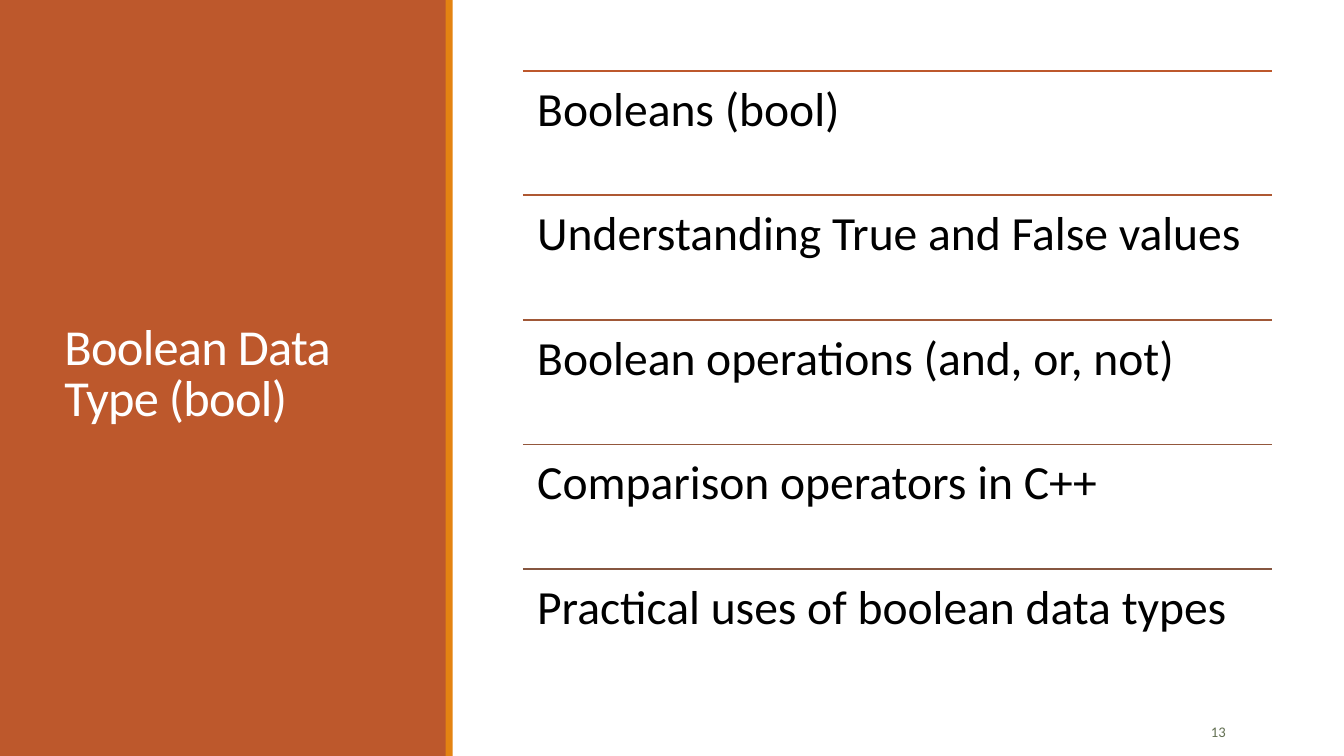
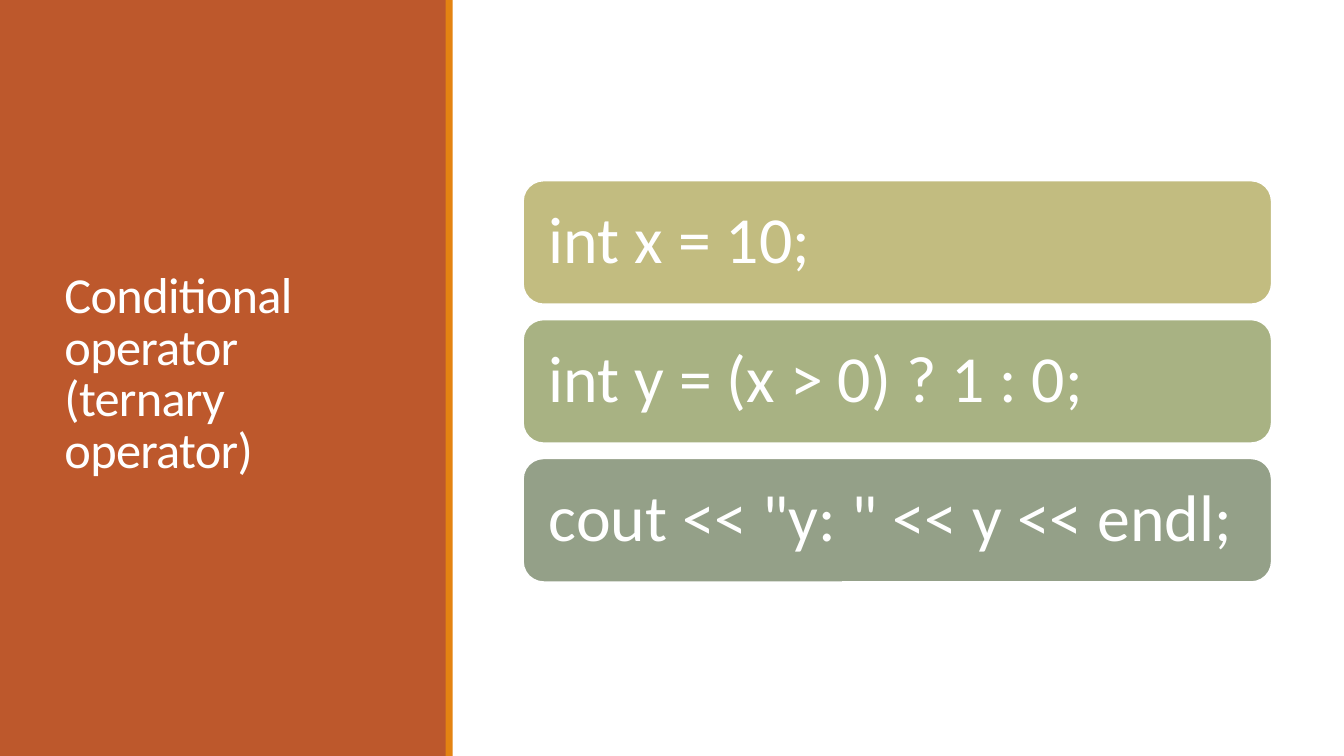
from lxml.etree import SubElement
from pptx import Presentation
from pptx.dml.color import RGBColor
from pptx.enum.shapes import MSO_CONNECTOR, MSO_SHAPE
from pptx.enum.text import MSO_ANCHOR, MSO_AUTO_SIZE, PP_ALIGN
from pptx.oxml.ns import qn
from pptx.util import Cm, Pt

TOPICS_TITLE = "Boolean Data Type (bool)"
TOPICS = [
    ("Booleans (bool)", RGBColor(0xBD, 0x58, 0x2C)),
    ("Understanding True and False values", RGBColor(0xAE, 0x58, 0x32)),
    ("Boolean operations (and, or, not)", RGBColor(0xA0, 0x58, 0x37)),
    ("Comparison operators in C++", RGBColor(0x93, 0x57, 0x3C)),
    ("Practical uses of boolean data types", RGBColor(0x86, 0x56, 0x40)),
]
PAGE_NUMBER = "13"

CODE_TITLE = "Conditional operator (ternary operator)"
CODE = [
    ("int x = 10;", RGBColor(0xC2, 0xBC, 0x80)),
    ("int y = (x > 0) ? 1 : 0;", RGBColor(0xA8, 0xB2, 0x83)),
    ('cout << "y: " << y << endl;', RGBColor(0x94, 0xA0, 0x88)),
]

FONT = "Calibri"
WHITE = RGBColor(0xFF, 0xFF, 0xFF)
BLACK = RGBColor(0, 0, 0)
RUST = RGBColor(0xBD, 0x58, 0x2C)
ORANGE = RGBColor(0xE4, 0x83, 0x12)
OLIVE = RGBColor(0x63, 0x70, 0x52)

SLIDE_W, SLIDE_H = Cm(33.87), Cm(19.05)
CONTENT_X, CONTENT_W = Cm(13.18), Cm(18.87)
TOPIC_Y, TOPIC_H = Cm(1.78), Cm(3.14)
CODE_Y, CODE_H, CODE_GAP = Cm(4.55), Cm(3.12), Cm(0.38)


def write(shape, text, size, color, anchor, spacing=1.0, align=PP_ALIGN.LEFT, inset=None):
    tf = shape.text_frame
    tf.word_wrap = True
    tf.auto_size = MSO_AUTO_SIZE.NONE
    tf.vertical_anchor = anchor
    if inset is not None:
        tf.margin_left = tf.margin_right = tf.margin_top = tf.margin_bottom = inset
    p = tf.paragraphs[0]
    p.alignment = align
    p.line_spacing = spacing
    r = p.add_run()
    r.text = text
    r.font.name = FONT
    r.font.size = Pt(size)
    r.font.color.rgb = color
    return r


def add_block(slide, kind, x, y, w, h, fill):
    sp = slide.shapes.add_shape(kind, x, y, w, h)
    sp.shadow.inherit = False
    sp.fill.solid()
    sp.fill.fore_color.rgb = fill
    sp.line.fill.background()
    return sp


def add_rule(slide, y, color):
    line = slide.shapes.add_connector(
        MSO_CONNECTOR.STRAIGHT, CONTENT_X, y, CONTENT_X + CONTENT_W, y)
    line.line.color.rgb = color
    line.line.width = Pt(1.25)
    SubElement(line._element.spPr, qn("a:effectLst"))


def add_panel_slide(prs, text):
    slide = prs.slides.add_slide(prs.slide_layouts[5])
    add_block(slide, MSO_SHAPE.RECTANGLE, 0, 0, Cm(11.25), SLIDE_H, RUST)
    add_block(slide, MSO_SHAPE.RECTANGLE, Cm(11.23), 0, Cm(0.18), SLIDE_H, ORANGE)
    title = slide.shapes.title
    slide.shapes._spTree.append(title._element)
    title.left, title.top, title.width, title.height = Cm(1.37), Cm(1.45), Cm(8.56), Cm(16.03)
    r = write(title, text, 36, WHITE, MSO_ANCHOR.MIDDLE, 0.85)
    r.font._element.set("spc", "-50")
    return slide


def add_topics(prs):
    slide = add_panel_slide(prs, TOPICS_TITLE)
    for i, (text, color) in enumerate(TOPICS):
        y = TOPIC_Y + i * TOPIC_H
        add_rule(slide, y, color)
        box = slide.shapes.add_textbox(CONTENT_X, y, CONTENT_W, TOPIC_H)
        write(box, text, 34, BLACK, MSO_ANCHOR.TOP, 0.9, inset=Cm(0.36))
    number = slide.shapes.add_textbox(Cm(28.12), Cm(17.93), Cm(3.02), Cm(1.02))
    write(number, PAGE_NUMBER, 10.5, OLIVE, MSO_ANCHOR.MIDDLE, align=PP_ALIGN.RIGHT)


def add_code(prs):
    slide = add_panel_slide(prs, CODE_TITLE)
    for i, (text, color) in enumerate(CODE):
        y = CODE_Y + i * (CODE_H + CODE_GAP)
        bar = add_block(slide, MSO_SHAPE.ROUNDED_RECTANGLE,
                        CONTENT_X, y, CONTENT_W, CODE_H, color)
        bar.line.color.rgb = WHITE
        bar.line.width = Pt(1.25)
        write(bar, text, 47, WHITE, MSO_ANCHOR.MIDDLE, 0.9, inset=Cm(0.5))


def main():
    prs = Presentation()
    prs.slide_width, prs.slide_height = SLIDE_W, SLIDE_H
    add_topics(prs)
    add_code(prs)
    prs.save("out.pptx")


if __name__ == "__main__":
    main()
